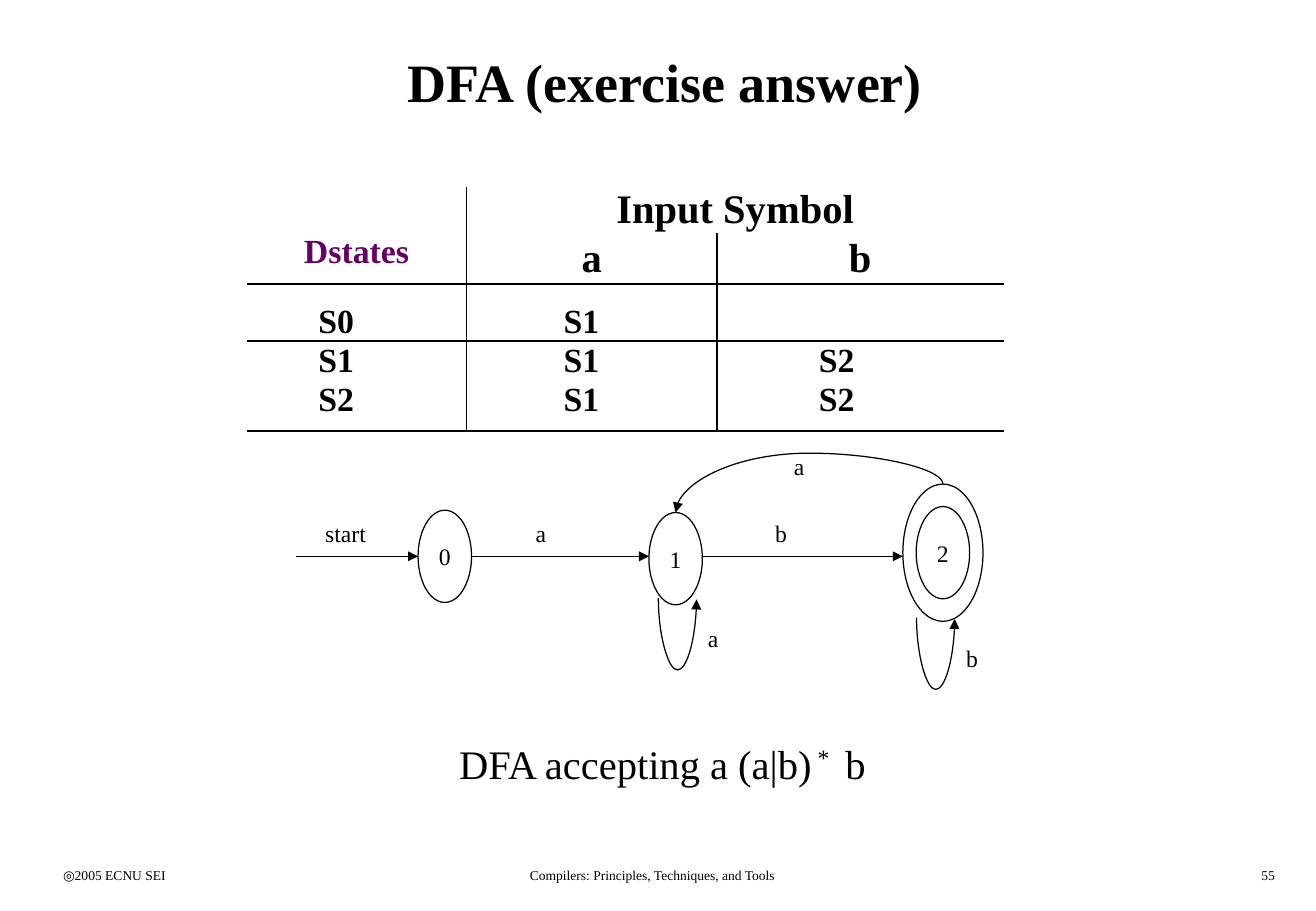
from lxml.etree import SubElement
from pptx import Presentation
from pptx.dml.color import RGBColor
from pptx.enum.shapes import MSO_CONNECTOR, MSO_SHAPE
from pptx.enum.text import MSO_ANCHOR, PP_ALIGN
from pptx.oxml import parse_xml
from pptx.oxml.ns import nsdecls, qn
from pptx.util import Inches, Pt

SLIDE_WIDTH, SLIDE_HEIGHT = Inches(10.83), Inches(7.5)
BLACK = RGBColor(0x00, 0x00, 0x00)
PURPLE = RGBColor(0x66, 0x00, 0x66)
FONT = "Times New Roman"
NO_GRID_STYLE = "{2D5ABB26-0587-4C30-8999-92F81FD0307C}"

# Positions and sizes are percentages of the slide's width and height.
STATE_WIDTH, STATE_HEIGHT = 4.06, 10.13
ACCEPT_WIDTH, ACCEPT_HEIGHT = 6.09, 15.07
STATES = {"0": (33.8, 61.07), "1": (51.34, 61.33), "2": (71.65, 60.67)}
ARROW_ROW = 61.07
LABELS = [
    ("start", 26.26, 58.47), ("a", 41.1, 58.47), ("b", 59.35, 58.47),
    ("a", 60.72, 51.13), ("a", 54.19, 70.07), ("b", 73.87, 72.2),
]
LOOPS = [(51.48, 65.73), (71.1, 67.87)]
LOOP_HALF_WIDTH, LOOP_DEPTH = 1.45, 8

COLUMN_WIDTHS = [16.71, 19.02, 21.79]
COLUMN_INDENTS = [5.45, 7.39, 7.76]
ROW_HEIGHTS = [5.07, 5.07, 6.27, 4.4, 5.47]
TRANSITIONS = [("S0", "S1", ""), ("S1", "S1", "S2"), ("S2", "S1", "S2")]
HEADERS = [(0, 0, "Dstates", 20, PURPLE), (0, 1, "Input Symbol", 24, BLACK),
           (1, 1, "a", 24, BLACK), (1, 2, "b", 24, BLACK)]


def across(percent):
    return round(SLIDE_WIDTH * percent / 100)


def down(percent):
    return round(SLIDE_HEIGHT * percent / 100)


def box(left, top, width, height):
    return across(left), down(top), across(width), down(height)


def centred_box(x, y, width, height):
    return box(x - width / 2, y - height / 2, width, height)


def set_all(target, values):
    for name, value in values.items():
        setattr(target, name, value)


def write(frame, text, size, align=PP_ALIGN.CENTER, bold=False, color=BLACK):
    """Put one formatted paragraph in a text frame and return it."""
    paragraph = frame.paragraphs[0]
    paragraph.alignment = align
    run = paragraph.add_run()
    run.text = text
    set_all(run.font, {"name": FONT, "size": Pt(size), "bold": bold})
    run.font.color.rgb = color
    return paragraph


def clear_margins(target):
    set_all(target, dict.fromkeys(
        ("margin_left", "margin_right", "margin_top", "margin_bottom"), 0))


def add_text(slide, place, text, size, align=PP_ALIGN.CENTER):
    frame = slide.shapes.add_textbox(*place).text_frame
    set_all(frame, {"word_wrap": True, "vertical_anchor": MSO_ANCHOR.MIDDLE})
    return write(frame, text, size, align)


def add_state(slide, place, text=""):
    state = slide.shapes.add_shape(MSO_SHAPE.OVAL, *place)
    state.shadow.inherit = False
    state.fill.background()
    state.line.color.rgb = BLACK
    state.line.width = Pt(0.75)
    if text:
        clear_margins(state.text_frame)
        state.text_frame.vertical_anchor = MSO_ANCHOR.MIDDLE
        write(state.text_frame, text, 14)


def add_arrow(slide, kind, *ends):
    arrow = slide.shapes.add_connector(kind, *ends)
    arrow.line.color.rgb = BLACK
    arrow.line.width = Pt(0.75)
    SubElement(arrow.line._get_or_add_ln(), qn("a:tailEnd"), type="triangle")
    SubElement(arrow.element.spPr, qn("a:effectLst"))
    return arrow


def add_curve(slide, begin, end, depth):
    """Draw a curved arrow that leaves and arrives vertically.

    The connector is laid out on its side and turned by 270 degrees;
    depth is how far it swings below its beginning.
    """
    (begin_x, begin_y), (end_x, end_y) = [(across(x), down(y)) for x, y in (begin, end)]
    span = end_x - begin_x
    drop = max(end_y - begin_y, Inches(0.01))
    x, y = (begin_x + end_x) // 2, (begin_y + end_y) // 2
    arrow = add_arrow(slide, MSO_CONNECTOR.CURVE, x + drop // 2, y - span // 2,
                      x - drop // 2, y + span // 2)
    arrow.element.spPr.find(qn("a:xfrm")).set("rot", str(270 * 60000))
    geometry = arrow.element.spPr.find(qn("a:prstGeom"))
    adjustments = geometry.find(qn("a:avLst"))
    if adjustments is None:
        adjustments = SubElement(geometry, qn("a:avLst"))
    SubElement(adjustments, qn("a:gd"), name="adj1",
               fmla=f"val {round(down(depth) / drop * 100000)}")


def add_borders(cell, sides):
    properties = cell._tc.get_or_add_tcPr()
    for position, side in enumerate(sides):
        properties.insert(position, parse_xml(
            f'<a:ln{side} {nsdecls("a")} w="{Pt(1)}"><a:solidFill>'
            f'<a:srgbClr val="{BLACK}"/></a:solidFill></a:ln{side}>'))


def add_transition_table(slide):
    place = box(18.74, 20.53, sum(COLUMN_WIDTHS), sum(ROW_HEIGHTS))
    graphic = slide.shapes.add_table(len(ROW_HEIGHTS), len(COLUMN_WIDTHS), *place)
    for style in graphic.element.iter(qn("a:tableStyleId")):
        style.text = NO_GRID_STYLE
    table = graphic.table
    set_all(table, {"first_row": False, "horz_banding": False})
    for column, width in zip(table.columns, COLUMN_WIDTHS):
        column.width = across(width)
    for row, height in zip(table.rows, ROW_HEIGHTS):
        row.height = down(height)

    last_row = len(ROW_HEIGHTS) - 1
    for row in range(len(ROW_HEIGHTS)):
        for column in range(len(COLUMN_WIDTHS)):
            cell = table.cell(row, column)
            clear_margins(cell)
            cell.vertical_anchor = MSO_ANCHOR.MIDDLE
            cell.fill.background()
            rules = {"L": column == 1 or (column == 2 and row > 0),
                     "T": row == 2, "B": row == last_row}
            add_borders(cell, [side for side, drawn in rules.items() if drawn])

    table.cell(0, 0).merge(table.cell(1, 0))
    table.cell(0, 1).merge(table.cell(0, 2))
    for row, column, text, size, color in HEADERS:
        write(table.cell(row, column).text_frame, text, size, bold=True, color=color)
    set_all(table.cell(0, 0), {"vertical_anchor": MSO_ANCHOR.BOTTOM,
                               "margin_bottom": down(1.47)})

    anchors = [MSO_ANCHOR.BOTTOM, MSO_ANCHOR.MIDDLE, MSO_ANCHOR.TOP]
    for row, (values, anchor) in enumerate(zip(TRANSITIONS, anchors), start=2):
        for column, (value, indent) in enumerate(zip(values, COLUMN_INDENTS)):
            cell = table.cell(row, column)
            set_all(cell, {"margin_left": across(indent), "vertical_anchor": anchor})
            write(cell.text_frame, value, 20, PP_ALIGN.LEFT, bold=True)


def add_automaton(slide):
    for name, (x, y) in STATES.items():
        add_state(slide, centred_box(x, y, STATE_WIDTH, STATE_HEIGHT), name)
    accept_x, accept_y = STATES["2"]
    add_state(slide, centred_box(accept_x, accept_y, ACCEPT_WIDTH, ACCEPT_HEIGHT))

    half = STATE_WIDTH / 2
    first, second = STATES["0"][0], STATES["1"][0]
    for begin, end in [(22.53, first - half), (first + half, second - half),
                       (second + half, accept_x - ACCEPT_WIDTH / 2)]:
        add_arrow(slide, MSO_CONNECTOR.STRAIGHT, across(begin), down(ARROW_ROW),
                  across(end), down(ARROW_ROW))
    add_curve(slide, (accept_x, accept_y - ACCEPT_HEIGHT / 2),
              (second, STATES["1"][1] - STATE_HEIGHT / 2), -3.39)
    for x, y in LOOPS:
        add_curve(slide, (x - LOOP_HALF_WIDTH, y), (x + LOOP_HALF_WIDTH, y), LOOP_DEPTH)
    for text, x, y in LABELS:
        add_text(slide, centred_box(x, y, 7, 4.4), text, 14)


def add_title(slide):
    title = slide.shapes.title
    set_all(title, dict(zip(("left", "top", "width", "height"),
                            box(3.23, 2.27, 94.64, 13.33))))
    title.text_frame.vertical_anchor = MSO_ANCHOR.MIDDLE
    write(title.text_frame, "DFA (exercise answer)", 32, bold=True)


def add_caption(slide):
    paragraph = add_text(slide, box(33.98, 80.4, 34.9, 6.67),
                         "DFA accepting a (a|b)", 24, PP_ALIGN.LEFT)
    for text, baseline in [(" * ", 30000), (" b", 0)]:
        run = paragraph.add_run()
        run.text = text
        set_all(run.font, {"name": FONT, "size": Pt(24)})
        run.font.color.rgb = BLACK
        run.font._element.set("baseline", str(baseline))


def add_footer(slide):
    for left, width, text, align in [
        (3.88, 20.87, "◎2005 ECNU SEI", PP_ALIGN.LEFT),
        (30.84, 37.49, "Compilers: Principles, Techniques, and Tools", PP_ALIGN.CENTER),
        (76.92, 20.87, "55", PP_ALIGN.RIGHT),
    ]:
        add_text(slide, box(left, 94.4, width, 3.33), text, 8, align)


def main():
    presentation = Presentation()
    set_all(presentation, {"slide_width": SLIDE_WIDTH, "slide_height": SLIDE_HEIGHT})
    slide = presentation.slides.add_slide(presentation.slide_layouts[5])
    add_title(slide)
    add_transition_table(slide)
    add_automaton(slide)
    add_caption(slide)
    add_footer(slide)
    presentation.save("out.pptx")


if __name__ == "__main__":
    main()
